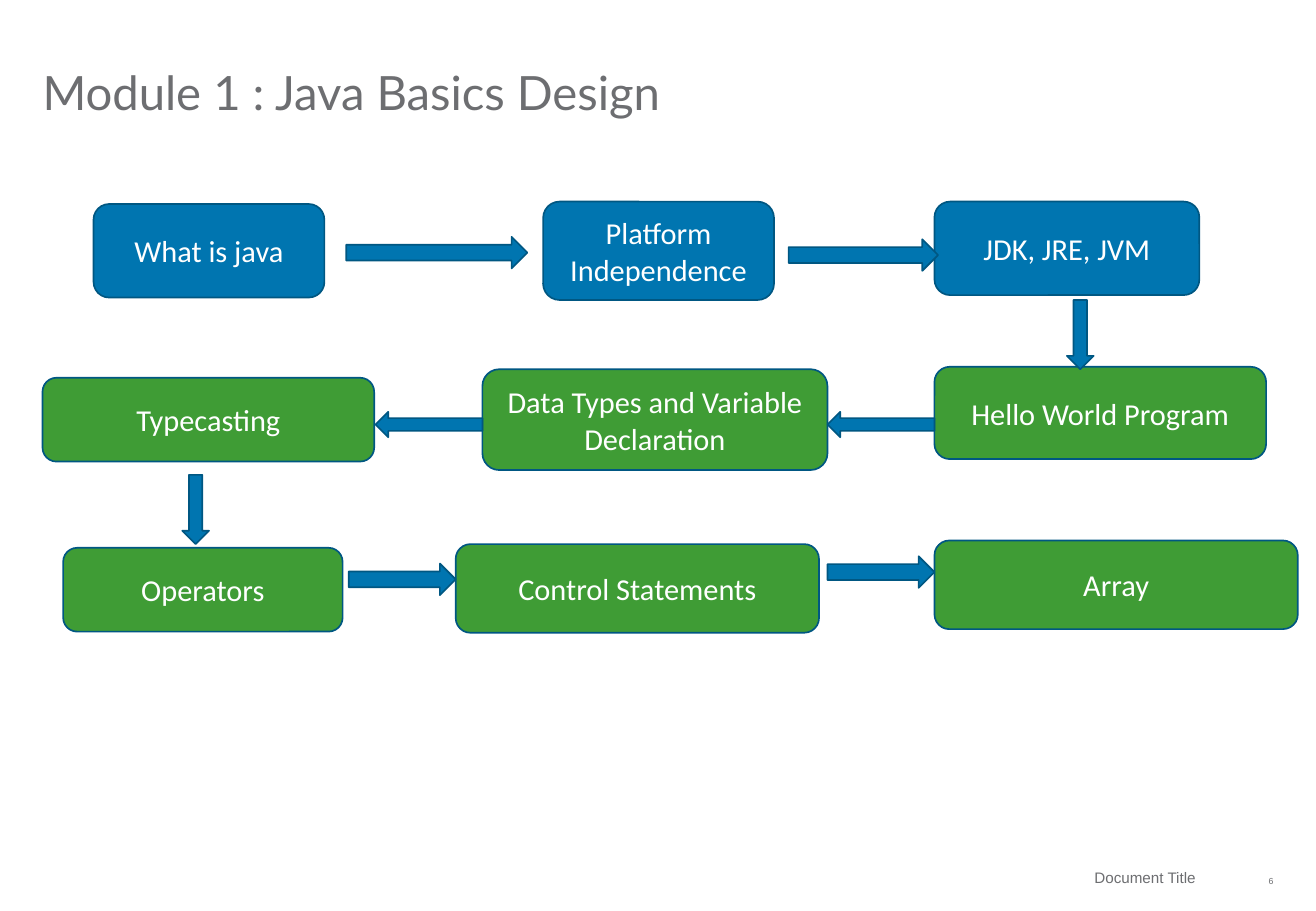
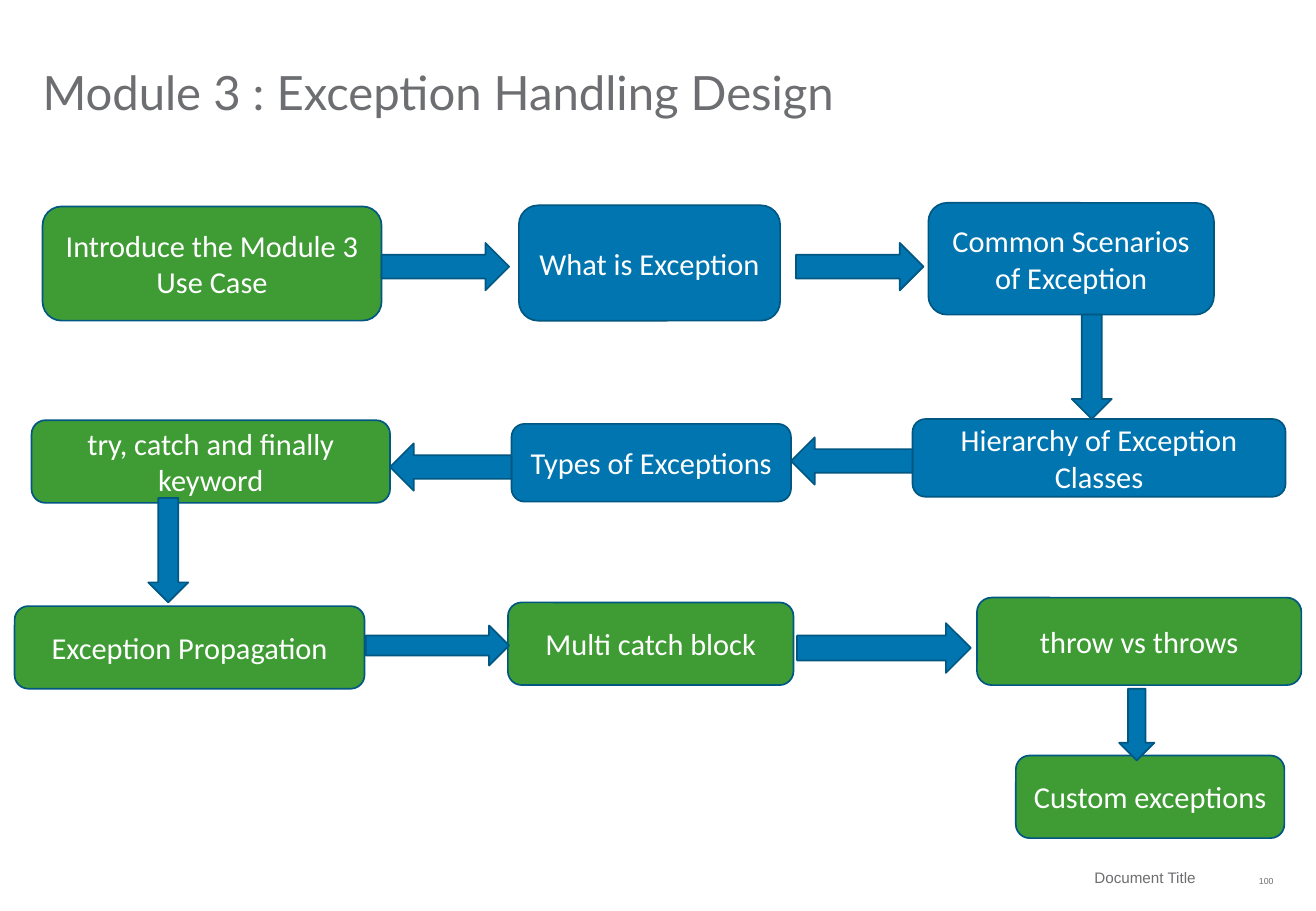
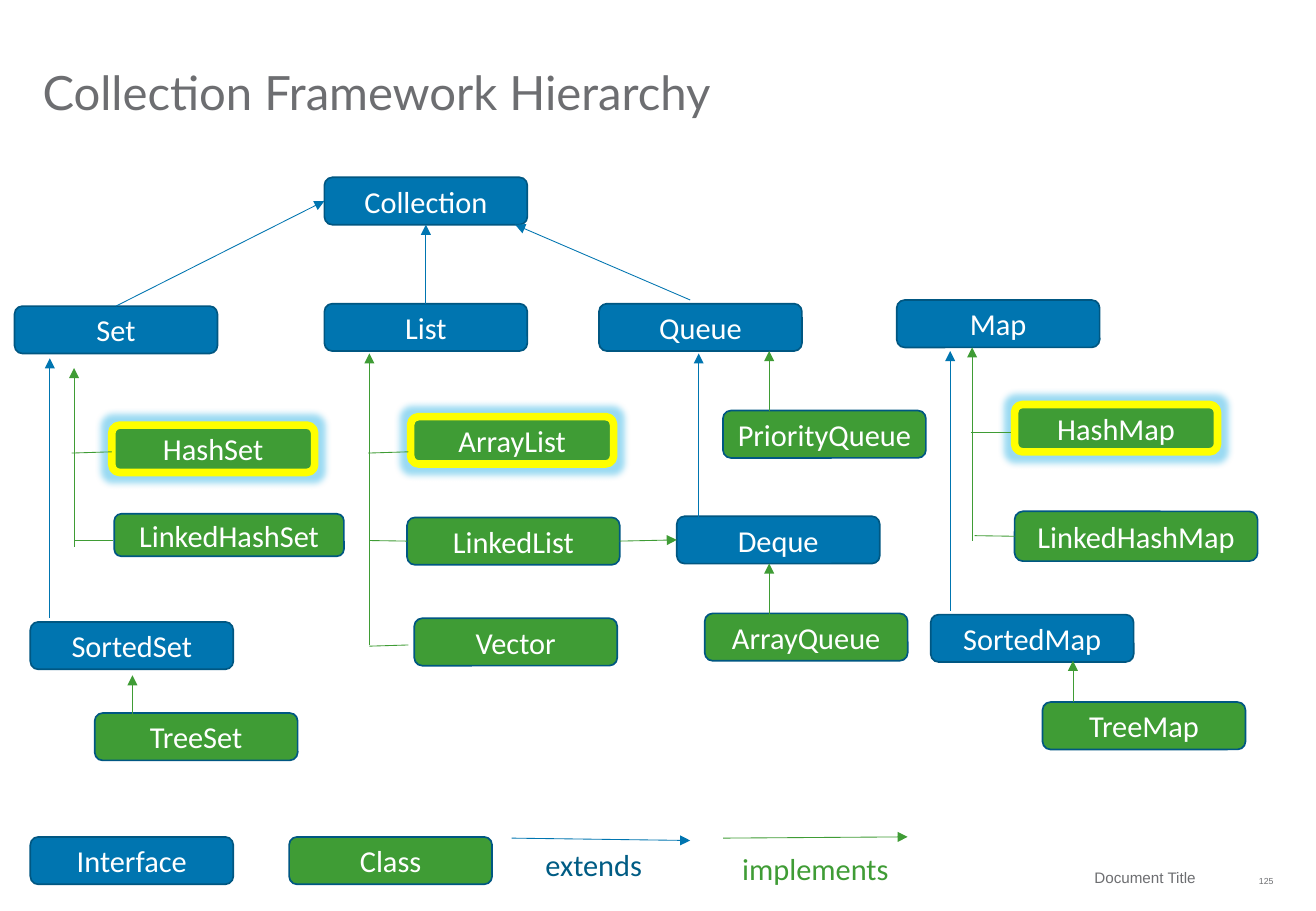
import pptx
import pptx.util
import pptx.dml.color
import pptx.enum.shapes
import pptx.enum.text
import pptx.oxml.ns
import lxml.etree

SHAPES = pptx.enum.shapes.MSO_SHAPE
ALIGN = pptx.enum.text.PP_ALIGN
ANCHOR = pptx.enum.text.MSO_ANCHOR
AUTO = pptx.enum.text.MSO_AUTO_SIZE
qn = pptx.oxml.ns.qn

CELL = 0.1
COLUMNS, ROWS = 108.3, 75
BLUE, GREEN, NAVY, EDGE = "0075B0", "3F9C35", "005C84", "005782"
GREY, WHITE, YELLOW, GLOW = "6D6E71", "FFFFFF", "FFFF00", "00A3E0"
TOP, LEFT, BOTTOM, RIGHT = range(4)
NODE_WIDTH, NODE_HEIGHT = 16.7, 3.9


def cells(*counts):
    return [pptx.util.Inches(round(count * CELL, 3)) for count in counts]


def paint(target, colour):
    target.rgb = pptx.dml.color.RGBColor.from_string(colour)


class Design:
    def __init__(self):
        self.deck = pptx.Presentation()
        self.deck.slide_width, self.deck.slide_height = cells(COLUMNS, ROWS)
        self.page = None
        self.nodes = {}

    def set_text(self, shape, text, size, font, colour, align, anchor, insets=None):
        frame = shape.text_frame
        frame.word_wrap = True
        frame.auto_size = AUTO.NONE
        frame.vertical_anchor = anchor
        if insets:
            (frame.margin_left, frame.margin_top,
             frame.margin_right, frame.margin_bottom) = cells(*insets)
        frame.text = text
        para = frame.paragraphs[0]
        para.alignment = align
        para.font.size = pptx.util.Pt(size)
        para.font.name = font
        paint(para.font.color, colour)
        return para

    def start(self, title, number):
        self.page = self.deck.slides.add_slide(self.deck.slide_layouts[5])
        self.nodes = {}
        heading = self.page.shapes.title
        heading.left, heading.top, heading.width, heading.height = cells(3.5, 2.2, 101.3, 7.7)
        para = self.set_text(heading, title, 28, "Lato", GREY, ALIGN.LEFT, ANCHOR.BOTTOM,
                             (0, 0, 0, 0))
        para.line_spacing = 0.9
        self.footer("Document Title", 61.9, 70.8, 38, 2.8, 1.5)
        para = self.footer(number, 100.9, 70.5, 3.9, 3.3, 0)
        span = para.runs[0]
        span.font.size = pptx.util.Pt(9)
        for properties in self.page.shapes[-1].element.iter(qn("a:rPr")):
            properties.set("baseline", "-25000")

    def footer(self, text, left, top, width, height, right_inset):
        box = self.page.shapes.add_textbox(*cells(left, top, width, height))
        return self.set_text(box, text, 9, "Arial", GREY, ALIGN.RIGHT, ANCHOR.MIDDLE,
                             (0, 0, right_inset, 0))

    def shape(self, preset, fill, left, top, width, height, edge=EDGE, weight=1):
        shape = self.page.shapes.add_shape(preset, *cells(left, top, width, height))
        shape.shadow.inherit = False
        shape.fill.solid()
        paint(shape.fill.fore_color, fill)
        paint(shape.line.color, edge)
        shape.line.width = pptx.util.Pt(weight)
        return shape

    def node(self, text, fill, left, top, width=NODE_WIDTH, height=NODE_HEIGHT, glowing=False):
        edge, weight = (YELLOW, 4.5) if glowing else (EDGE, 1)
        box = self.shape(SHAPES.ROUNDED_RECTANGLE, fill, left, top, width, height, edge, weight)
        self.set_text(box, text, 18, "Calibri", WHITE, ALIGN.CENTER, ANCHOR.MIDDLE)
        if glowing:
            effects = box.element.spPr.find(qn("a:effectLst"))
            glow = lxml.etree.SubElement(effects, qn("a:glow"), rad="101600")
            tint = lxml.etree.SubElement(glow, qn("a:srgbClr"), val=GLOW)
            lxml.etree.SubElement(tint, qn("a:alpha"), val="40000")
        self.nodes[text] = box

    def label(self, text, colour, left, top, width, height):
        box = self.page.shapes.add_textbox(*cells(left, top, width, height))
        self.set_text(box, text, 18, "Calibri", colour, ALIGN.LEFT, ANCHOR.TOP)
        box.text_frame.word_wrap = False

    def line(self, colour, start, finish, arrow=True):
        joined = [isinstance(point[0], str) for point in (start, finish)]
        places = [(0, 0) if held else point for held, point in zip(joined, (start, finish))]
        line = self.page.shapes.add_connector(
            pptx.enum.shapes.MSO_CONNECTOR.STRAIGHT, *cells(*places[0], *places[1]))
        if joined[0]:
            line.begin_connect(self.nodes[start[0]], start[1])
        if joined[1]:
            line.end_connect(self.nodes[finish[0]], finish[1])
        paint(line.line.color, colour)
        line.line.width = pptx.util.Pt(0.5)
        properties = line.element.spPr
        if arrow:
            lxml.etree.SubElement(properties.find(qn("a:ln")), qn("a:tailEnd"), type="triangle")
        lxml.etree.SubElement(properties, qn("a:effectLst"))

    def flow(self, title, number, steps, arrows):
        self.start(title, number)
        for step in steps:
            self.node(*step)
        for preset, places in arrows.items():
            for place in places:
                self.shape(preset, BLUE, *place)


def java_basics(design):
    design.flow("Module 1 : Java Basics Design", "6", [
        ("What is java", BLUE, 7.7, 16.8, 19, 7.7),
        ("Platform Independence", BLUE, 44.7, 16.6, 19, 8.1),
        ("JDK, JRE, JVM", BLUE, 76.9, 16.6, 21.8, 7.7),
        ("Hello World Program", GREEN, 76.9, 30.2, 27.3, 7.6),
        ("Data Types and Variable Declaration", GREEN, 39.7, 30.4, 28.4, 8.3),
        ("Typecasting", GREEN, 3.5, 31.1, 27.3, 6.9),
        ("Operators", GREEN, 5.2, 45.1, 23, 6.9),
        ("Control Statements", GREEN, 37.5, 44.8, 29.9, 7.3),
        ("Array", GREEN, 76.9, 44.5, 29.9, 7.3),
    ], {
        SHAPES.RIGHT_ARROW: [(28.5, 19.5, 14.9, 2.6), (64.9, 19.7, 12.3, 2.6),
                             (28.7, 46.4, 8.8, 2.6), (68.1, 45.8, 8.8, 2.6)],
        SHAPES.LEFT_ARROW: [(68.1, 33.9, 8.8, 2.1), (30.9, 33.9, 8.8, 2.1)],
        SHAPES.DOWN_ARROW: [(87.8, 24.7, 2.2, 5.7), (15, 39.1, 2.2, 5.7)],
    })


def exception_handling(design):
    design.flow("Module 3 : Exception Handling Design", "100", [
        ("Introduce the Module 3 Use Case", GREEN, 3.5, 17, 27.9, 9.4),
        ("What is Exception", BLUE, 42.7, 16.9, 21.5, 9.5),
        ("Common Scenarios of Exception", BLUE, 76.4, 16.7, 23.5, 9.2),
        ("Hierarchy of Exception Classes", BLUE, 75.1, 34.5, 30.7, 6.4),
        ("Types of Exceptions", BLUE, 42.1, 34.9, 23, 6.4),
        ("try, catch and finally keyword", GREEN, 2.6, 34.6, 29.5, 6.8),
        ("Exception Propagation", GREEN, 1.2, 49.9, 28.8, 6.8),
        ("Multi catch block", GREEN, 41.8, 49.6, 23.5, 6.8),
        ("throw vs throws", GREEN, 80.4, 49.2, 26.7, 7.2),
        ("Custom exceptions", GREEN, 83.6, 62.2, 22.1, 6.8),
    ], {
        SHAPES.RIGHT_ARROW: [(31.4, 20, 10.5, 3.9), (65.5, 20, 10.5, 3.9),
                             (30.1, 51.5, 11.8, 3.3), (65.6, 51.3, 14.3, 4.1)],
        SHAPES.LEFT_ARROW: [(65.1, 36, 10, 3.9), (32.1, 36.5, 10, 3.9)],
        SHAPES.DOWN_ARROW: [(88.2, 25.9, 3.3, 8.6), (12.2, 41, 3.3, 8.6),
                            (92.1, 56.7, 2.9, 5.9)],
    })


def collection_hierarchy(design):
    design.start("Collection Framework Hierarchy", "125")
    interfaces = [
        ("Collection", 26.7, 14.6), ("Set", 1.2, 25.2), ("List", 26.7, 25),
        ("Queue", 49.3, 25), ("Map", 73.8, 24.7), ("SortedSet", 2.5, 51.2),
        ("Deque", 55.7, 42.5), ("SortedMap", 76.6, 50.6), ("Interface", 2.5, 68.9),
    ]
    classes = [
        ("LinkedHashSet", 9.4, 42.3, 18.9, 3.5), ("TreeSet", 7.8, 58.7),
        ("LinkedList", 33.5, 42.6, 17.5), ("Vector", 34.1, 50.9),
        ("PriorityQueue", 59.5, 33.8), ("ArrayQueue", 58, 50.5),
        ("LinkedHashMap", 83.5, 42.1, 20, 4.1), ("TreeMap", 85.8, 57.8),
        ("Class", 23.8, 68.9),
    ]
    highlights = [("HashSet", 9.2, 35), ("ArrayList", 33.8, 34.3), ("HashMap", 83.5, 33.3)]
    for name, *place in interfaces:
        design.node(name, BLUE, *place)
    for name, *place in classes:
        design.node(name, GREEN, *place)
    for name, *place in highlights:
        design.node(name, GREEN, *place, glowing=True)

    extends = [
        (("Set", TOP), ("Collection", LEFT)), (("List", TOP), ("Collection", BOTTOM)),
        ((56.8, 24.7), (42.4, 18.5)), ((4.1, 50.9), (4.1, 29.5)),
        ((57.5, 42.8), (57.5, 29.1)), ((78.2, 50.3), (78.2, 28.9)),
        ((42.1, 69), (56.8, 69.2)),
    ]
    implements = [
        ((6.1, 45), (6.1, 30.3)), ((10.9, 59), (10.9, 55.6)),
        ((30.4, 53.1), (30.4, 29.1)), (("LinkedList", RIGHT), ("Deque", LEFT)),
        ((63.3, 33.8), (63.3, 28.9)), ((63.3, 50.9), (63.3, 46.4)),
        ((80, 44.5), (80, 28.6)), ((88.3, 57.8), (88.3, 54.4)),
        ((59.5, 69), (74.7, 68.9)),
    ]
    branches = [
        ((5.9, 37.3), (9.2, 37.2)), ((6.1, 44.5), (9.3, 44.5)),
        ((30.3, 37.3), (33.6, 37.2)), ((30.4, 44.5), ("LinkedList", LEFT)),
        ((30.4, 53.2), (33.6, 53.1)), ((79.9, 35.6), (83.2, 35.6)),
        ((80.2, 44.1), ("LinkedHashMap", LEFT)),
    ]
    for colour, lines, arrow in ((BLUE, extends, True), (GREEN, implements, True),
                                 (GREEN, branches, False)):
        for start, finish in lines:
            design.line(colour, start, finish, arrow)
    design.label("extends", NAVY, 43.9, 69.2, 10.1, 4)
    design.label("implements", GREEN, 60.1, 69.5, 14.2, 4)


def main():
    design = Design()
    java_basics(design)
    exception_handling(design)
    collection_hierarchy(design)
    design.deck.save("out.pptx")


if __name__ == "__main__":
    main()
